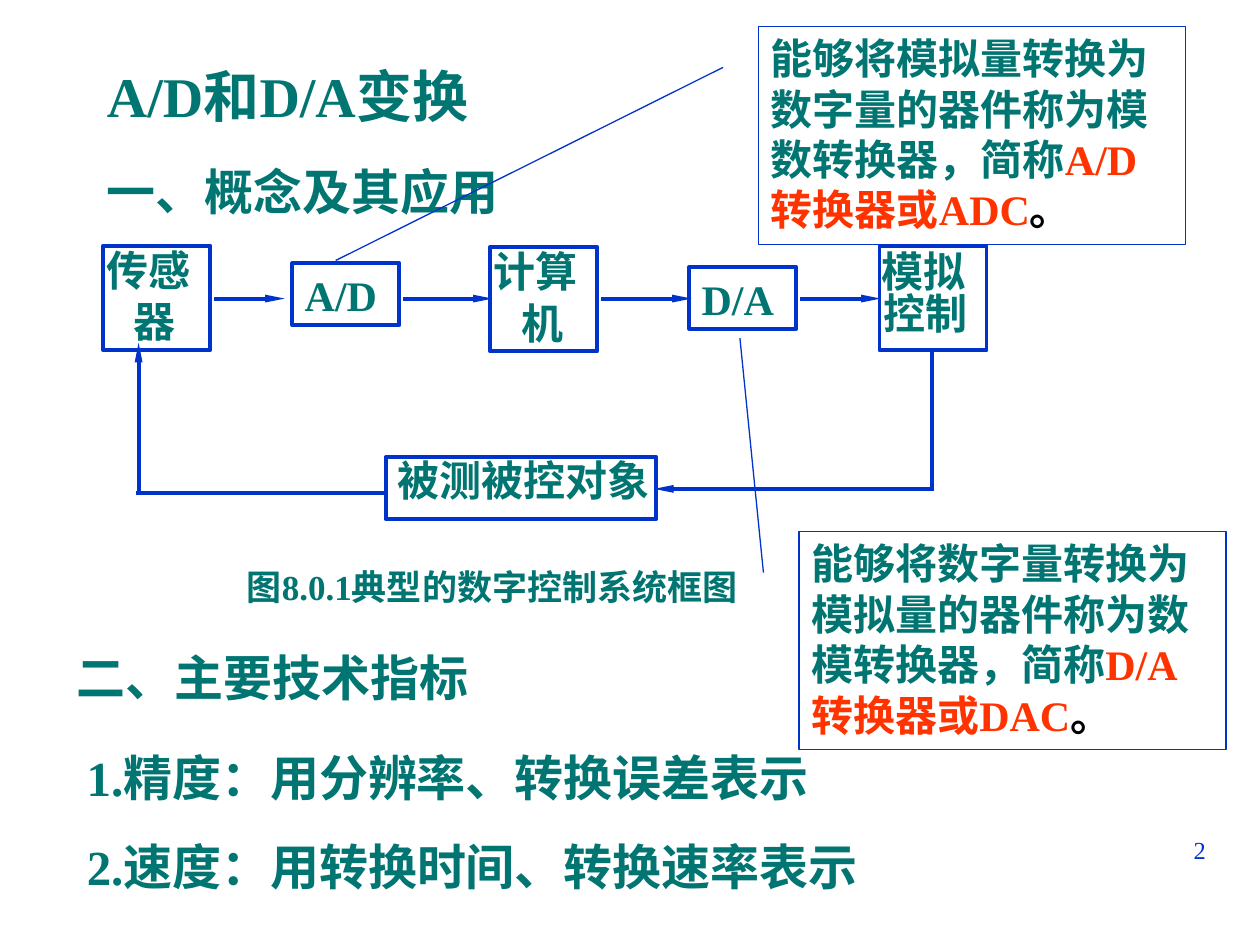
"""Build a slide on A/D and D/A conversion with a digital control block diagram."""
import pptx
import pptx.dml.color
import pptx.enum.shapes
import pptx.enum.text
import pptx.oxml
import pptx.oxml.ns
import pptx.util

Inches = pptx.util.Inches
Pt = pptx.util.Pt
SHAPE = pptx.enum.shapes.MSO_SHAPE
ANCHOR = pptx.enum.text.MSO_ANCHOR
ALIGN = pptx.enum.text.PP_ALIGN
FIT = pptx.enum.text.MSO_AUTO_SIZE

TEAL = pptx.dml.color.RGBColor(0x00, 0x75, 0x72)
BLUE = pptx.dml.color.RGBColor(0x00, 0x33, 0xCC)
RED = pptx.dml.color.RGBColor(0xFF, 0x33, 0x00)
BLACK = pptx.dml.color.RGBColor(0x00, 0x00, 0x00)
WHITE = pptx.dml.color.RGBColor(0xFF, 0xFF, 0xFF)

LABEL = {"name": "Times New Roman", "size": Pt(24), "bold": True}
HEADING = {**LABEL, "size": Pt(28)}
TITLE = {**LABEL, "size": Pt(32)}
CAPTION = {**LABEL, "size": Pt(20)}
NUMBER = {**LABEL, "size": Pt(14), "bold": False}

HEADINGS = [
    ("A/D和D/A变换", (0.75, 0.44, 6.75, 0.64), TITLE),
    ("一、概念及其应用", (0.75, 1.23, 7.86, 0.57), HEADING),
    ("图8.0.1典型的数字控制系统框图", (1.86, 4.44, 4.88, 0.44), CAPTION),
    ("二、主要技术指标", (0.51, 5.09, 4.1, 0.57), HEADING),
    ("1.精度：用分辨率、转换误差表示", (0.59, 5.88, 7.9, 0.57), HEADING),
    ("2.速度：用转换时间、转换速率表示", (0.59, 6.59, 7.39, 0.57), HEADING),
]

TALL, LOW, WIDE = (0.85, 0.83), (0.85, 0.49), (2.15, 0.49)
BLOCKS = [
    ((0.82, 1.95), TALL, [("传感", (0.75, 1.74, 1.01, 0.85), True),
                          ("器", (0.96, 2.3, 0.5, 0.5), False)]),
    ((2.32, 2.09), LOW, [("A/D", (2.32, 2.09, 1.57, 0.5), False)]),
    ((3.89, 1.96), TALL, [("计算", (3.82, 1.95, 1.01, 0.45), True),
                          ("机", (4.04, 2.31, 0.5, 0.5), False)]),
    ((5.47, 2.12), LOW, [("D/A", (5.47, 2.12, 1.57, 0.5), False)]),
    ((6.98, 1.95), TALL, [("模拟", (6.9, 1.95, 1.01, 0.45), True),
                          ("控制", (6.91, 2.28, 1.01, 0.45), True)]),
    ((3.06, 3.63), WIDE, [("被测被控对象", (3.06, 3.56, 3.01, 0.5), False)]),
]

FLOW_Y = 2.37
FORWARD = [(1.7, 2.26), (3.2, 3.91), (4.77, 5.49), (6.35, 6.99)]
FEEDBACK = [
    ((7.4, 2.77, 7.4, 3.9), False),
    ((7.4, 3.88, 5.19, 3.88), True),
    ((3.05, 3.91, 1.08, 3.91), False),
    ((1.1, 3.91, 1.1, 2.72), True),
]

CALLOUT_SIZE = (3.39, 1.73)
CALLOUTS = [
    ((6.34, 4.22), (0.188, -0.083, -0.888, -0.138),
     "能够将数字量转换为模拟量的器件称为数模转换器，简称", "D/A转换器或DAC"),
    ((6.02, 0.21), (0.188, -0.083, 1.074, -0.99),
     "能够将模拟量转换为数字量的器件称为模数转换器，简称", "A/D转换器或ADC"),
]


def write(frame, runs, style, align=ALIGN.LEFT):
    frame.word_wrap = True
    paragraph = frame.paragraphs[0]
    paragraph.alignment = align
    for words, colour in runs:
        run = paragraph.add_run()
        run.text = words
        for key, value in style.items():
            setattr(run.font, key, value)
        run.font.color.rgb = colour


def add_label(slide, words, place, style, middle=False):
    frame = slide.shapes.add_textbox(*map(Inches, place)).text_frame
    write(frame, [(words, TEAL)], style)
    frame.auto_size = FIT.SHAPE_TO_FIT_TEXT
    if middle:
        frame.vertical_anchor = ANCHOR.MIDDLE
        frame.margin_top = 0


def add_outlined(slide, kind, place, width):
    shape = slide.shapes.add_shape(kind, *map(Inches, place))
    shape.shadow.inherit = False
    shape.line.color.rgb = BLUE
    shape.line.width = Pt(width)
    return shape


def add_block(slide, corner, size, labels):
    block = add_outlined(slide, SHAPE.RECTANGLE, corner + size, 2.25)
    block.fill.solid()
    block.fill.fore_color.rgb = WHITE
    for words, place, middle in labels:
        add_label(slide, words, place, LABEL, middle)


def add_signal(slide, ends, arrow):
    signal = slide.shapes.add_connector(
        pptx.enum.shapes.MSO_CONNECTOR.STRAIGHT, *map(Inches, ends))
    signal.line.color.rgb = BLUE
    signal.line.width = Pt(2.25)
    if arrow:
        signal.line._get_or_add_ln().append(pptx.oxml.parse_xml(
            f'<a:tailEnd {pptx.oxml.ns.nsdecls("a")} type="triangle" w="sm" len="lg"/>'))
    signal._element.spPr.append(pptx.oxml.parse_xml(
        f'<a:effectLst {pptx.oxml.ns.nsdecls("a")}/>'))


def add_callout(slide, corner, pointer, definition, term):
    callout = add_outlined(slide, SHAPE.LINE_CALLOUT_1, corner + CALLOUT_SIZE, 0.75)
    callout.fill.background()
    for index, value in enumerate(pointer):
        callout.adjustments[index] = value
    callout.text_frame.vertical_anchor = ANCHOR.TOP
    write(callout.text_frame, [(definition, TEAL), (term, RED), ("。", BLACK)], LABEL)


def main():
    deck = pptx.Presentation()
    deck.slide_width, deck.slide_height = Inches(10), Inches(7.5)
    slide = deck.slides.add_slide(deck.slide_layouts[6])
    for heading in HEADINGS:
        add_label(slide, *heading)
    for block in BLOCKS:
        add_block(slide, *block)
    for start, end in FORWARD:
        add_signal(slide, (start, FLOW_Y, end, FLOW_Y), True)
    for ends, arrow in FEEDBACK:
        add_signal(slide, ends, arrow)
    for callout in CALLOUTS:
        add_callout(slide, *callout)
    page = slide.shapes.add_textbox(*map(Inches, (7.17, 6.58, 2.5, 0.52)))
    write(page.text_frame, [("2", BLUE)], NUMBER, ALIGN.RIGHT)
    deck.save("out.pptx")


if __name__ == "__main__":
    main()
